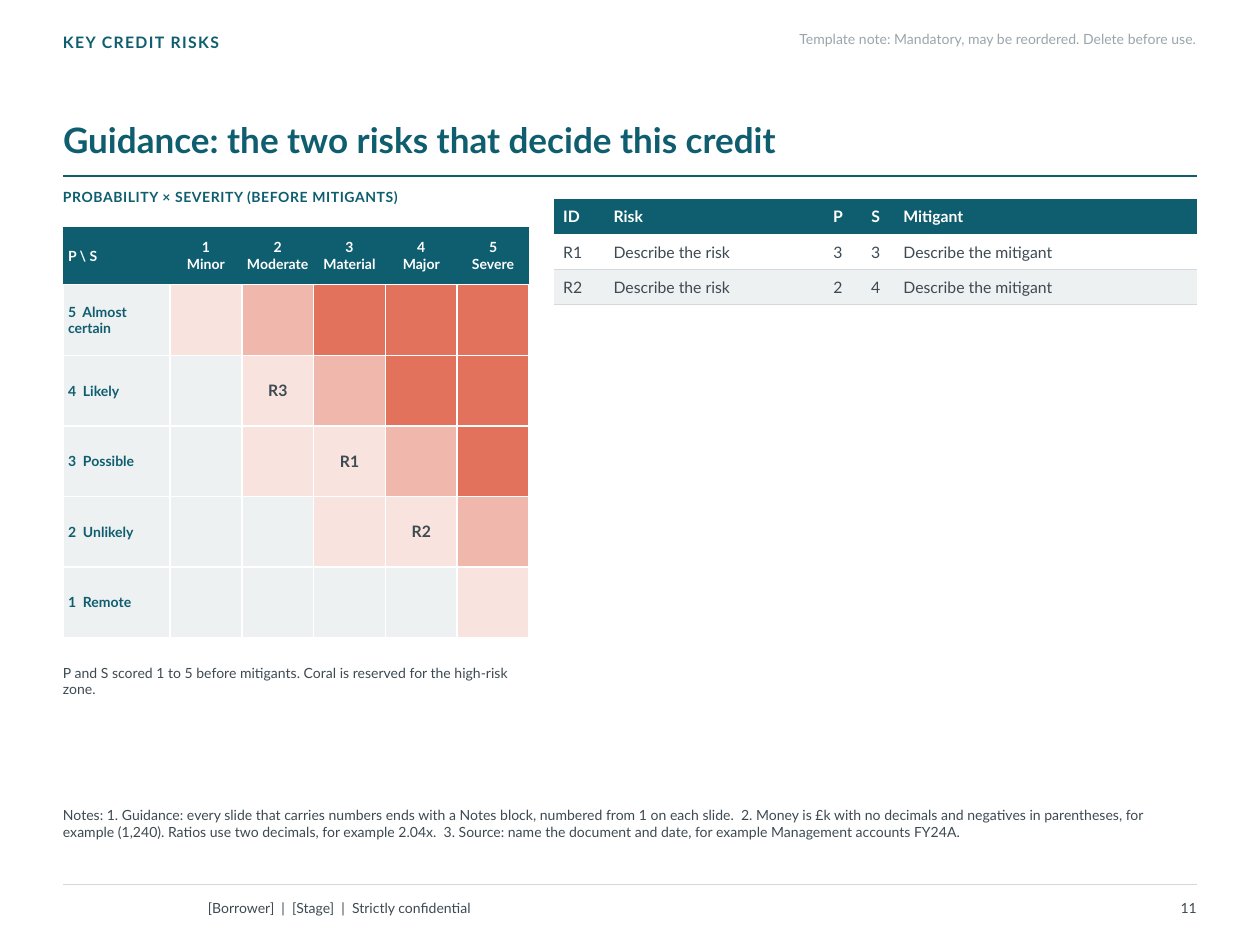
"""Build the key credit risks slide with a heat map and a risk register."""
from lxml.etree import SubElement
from pptx import Presentation
from pptx.dml.color import RGBColor
from pptx.enum.shapes import MSO_CONNECTOR
from pptx.enum.text import MSO_ANCHOR, MSO_AUTO_SIZE, PP_ALIGN
from pptx.oxml.ns import qn
from pptx.util import Inches, Pt

COLORS = {"teal": "0E5E6F", "ink": "3D4A52", "muted": "9AA5AB", "rule": "D3D9DC",
          "pale": "EEF1F2", "white": "FFFFFF", "light": "F9E3DE", "medium": "F0B8AD",
          "coral": "E2725B"}
ALIGN = {"left": PP_ALIGN.LEFT, "center": PP_ALIGN.CENTER, "right": PP_ALIGN.RIGHT}
ANCHOR = {"top": MSO_ANCHOR.TOP, "middle": MSO_ANCHOR.MIDDLE, "bottom": MSO_ANCHOR.BOTTOM}
FONT = "Lato"
NO_GRID_STYLE = "{2D5ABB26-0587-4C30-8999-92F81FD0307C}"
LEFT, WIDTH, MAP_WIDTH = 0.5, 9, 3.7
RIGHT = LEFT + WIDTH

TITLE = "Guidance: the two risks that decide this credit"
NOTES = (
    "Notes: 1. Guidance: every slide that carries numbers ends with a Notes block, numbered "
    "from 1 on each slide.  2. Money is £k with no decimals and negatives in parentheses, for "
    "example (1,240). Ratios use two decimals, for example 2.04x.  3. Source: name the document "
    "and date, for example Management accounts FY24A."
)
TEXTS = [
    ("PROBABILITY × SEVERITY (BEFORE MITIGANTS)", (LEFT, 1.5, MAP_WIDTH, 0.22),
     {"color": "teal", "bold": True, "tracking": 0.3}),
    ("KEY CREDIT RISKS", (LEFT, 0.26, 4.5, 0.24),
     {"size": 9, "color": "teal", "bold": True, "tracking": 0.8}),
    ("P and S scored 1 to 5 before mitigants. Coral is reserved for the high-risk zone.",
     (LEFT, 5.25, MAP_WIDTH, 1.05), {"margins": (0, 0.02, 0, 0)}),
    (NOTES, (LEFT, 6.4, WIDTH, 0.58), {}),
    ("[Borrower]  |  [Stage]  |  Strictly confidential", (1.65, 7.08, 5.6, 0.26),
     {"anchor": "middle"}),
    ("11", (RIGHT - 1, 7.08, 1, 0.26), {"anchor": "middle", "align": "right"}),
    ("Template note: Mandatory, may be reordered. Delete before use.",
     (RIGHT - 4.1, 0.24, 4.1, 0.24), {"color": "muted", "align": "right"}),
]
RULES = [(7.02, "rule", 0.75), (1.4, "teal", 1.25)]
SEVERITIES = ["Minor", "Moderate", "Material", "Major", "Severe"]
PROBABILITIES = ["Remote", "Unlikely", "Possible", "Likely", "Almost certain"]
MARKERS = {(4, 2): "R3", (3, 3): "R1", (2, 4): "R2"}
ZONES = [(15, "coral"), (10, "medium"), (5, "light"), (0, "pale")]
REGISTER = [
    ("ID", "Risk", "P", "S", "Mitigant"),
    ("R1", "Describe the risk", "3", "3", "Describe the mitigant"),
    ("R2", "Describe the risk", "2", "4", "Describe the mitigant"),
]


def rgb(name):
    """Return the named colour."""
    return RGBColor.from_string(COLORS[name])


def write(frame, text, size=8, color="ink", bold=False, align="left", anchor="top",
          margins=(0, 0, 0, 0), tracking=0, line_spacing=None):
    """Fill a text frame, one paragraph for each line of text."""
    frame.word_wrap = True
    frame.auto_size = MSO_AUTO_SIZE.NONE
    frame.vertical_anchor = ANCHOR[anchor]
    (frame.margin_left, frame.margin_top,
     frame.margin_right, frame.margin_bottom) = map(Inches, margins)
    for index, line in enumerate(text.split("\n")):
        para = frame.add_paragraph() if index else frame.paragraphs[0]
        style_line(para, line, size, color, bold, align, tracking)
        if line_spacing:
            para.line_spacing = line_spacing


def style_line(para, line, size, color, bold, align, tracking=0):
    """Add one formatted span to a paragraph."""
    para.alignment = ALIGN[align]
    span = para.add_run()
    span.text = line
    span.font.name, span.font.size, span.font.bold = FONT, Pt(size), bold
    span.font.color.rgb = rgb(color)
    if tracking:
        span.font._element.set("spc", str(round(tracking * 100)))


def add_rule(slide, top, color, width):
    """Draw a horizontal rule across the content width."""
    rule = slide.shapes.add_connector(MSO_CONNECTOR.STRAIGHT, Inches(LEFT), Inches(top),
                                      Inches(RIGHT), Inches(top))
    rule.line.color.rgb = rgb(color)
    rule.line.width = Pt(width)
    SubElement(rule._element.spPr, qn("a:effectLst"))


def add_grid(slide, left, top, widths, heights):
    """Add an unstyled table and return it."""
    table = slide.shapes.add_table(len(heights), len(widths), Inches(left), Inches(top),
                                   Inches(sum(widths)), Inches(sum(heights))).table
    table.first_row = table.horz_banding = False
    table._tbl.tblPr.find(qn("a:tableStyleId")).text = NO_GRID_STYLE
    for column, width in zip(table.columns, widths):
        column.width = Inches(width)
    for row, height in zip(table.rows, heights):
        row.height = Inches(height)
    return table


def fill_cell(cell, text, fill, margins, borders="", border=("white", 1), **style):
    """Set the text, fill and the listed border sides of a cell."""
    cell.vertical_anchor = MSO_ANCHOR.MIDDLE
    (cell.margin_left, cell.margin_top,
     cell.margin_right, cell.margin_bottom) = map(Inches, margins)
    for index, line in enumerate(text.split("\n") if text else []):
        frame = cell.text_frame
        para = frame.add_paragraph() if index else frame.paragraphs[0]
        style_line(para, line, **style)
    properties = cell._tc.get_or_add_tcPr()
    color, width = border
    for side in borders:
        line = SubElement(properties, qn(f"a:ln{side}"), w=str(Pt(width)))
        solid = SubElement(line, qn("a:solidFill"))
        SubElement(solid, qn("a:srgbClr"), val=COLORS[color])
    if fill:
        cell.fill.solid()
        cell.fill.fore_color.rgb = rgb(fill)
    else:
        cell.fill.background()


def add_heat_map(slide):
    """Add the matrix, coloured by probability times severity."""
    count = len(SEVERITIES)
    table = add_grid(slide, LEFT, 1.8, [0.85] + [0.57] * count, [0.46] + [0.56] * count)
    for row in range(count + 1):
        probability = count + 1 - row
        for severity in range(count + 1):
            size, color, align, borders = 8, "white", "center", "LRTB"
            if row == 0:
                text = f"{severity}\n{SEVERITIES[severity - 1]}" if severity else "P \\ S"
                fill, borders = "teal", ""
            elif severity == 0:
                text, fill = f"{probability}  {PROBABILITIES[probability - 1]}", "pale"
                color = "teal"
            else:
                text, size, color = MARKERS.get((probability, severity), ""), 9, "ink"
                fill = next(zone for floor, zone in ZONES if probability * severity >= floor)
            if severity == 0:
                align = "left"
            fill_cell(table.cell(row, severity), text, fill, (0.04, 0.02, 0.04, 0.02), borders,
                      size=size, color=color, bold=True, align=align)


def add_register(slide):
    """Add the risk register with alternating rows."""
    table = add_grid(slide, 4.4, 1.58, [0.4, 1.7, 0.3, 0.3, 2.4], [0.28] * len(REGISTER))
    for row, values in enumerate(REGISTER):
        header = row == 0
        fill = "teal" if header else (None, "pale")[(row + 1) % 2]
        for column, value in enumerate(values):
            fill_cell(table.cell(row, column), value, fill, (0.07, 0.04, 0.07, 0.04),
                      "" if header else "B", ("rule", 0.5), size=9, bold=header,
                      color="white" if header else "ink",
                      align="center" if column in (2, 3) else "left")


def main():
    """Assemble and save the deck."""
    deck = Presentation()
    deck.slide_width, deck.slide_height = Inches(10), Inches(7.5)
    slide = deck.slides.add_slide(deck.slide_layouts[5])
    title = slide.shapes.title
    title.left, title.top, title.width, title.height = map(Inches, (LEFT, 0.5, WIDTH, 0.82))
    write(title.text_frame, TITLE, size=20, color="teal", bold=True, anchor="bottom",
          margins=(0, 0, 0, 0.04), line_spacing=0.92)
    for rule in RULES:
        add_rule(slide, *rule)
    add_heat_map(slide)
    add_register(slide)
    for text, place, style in TEXTS:
        box = slide.shapes.add_textbox(*map(Inches, place))
        write(box.text_frame, text, **style)
    deck.save("out.pptx")


if __name__ == "__main__":
    main()
